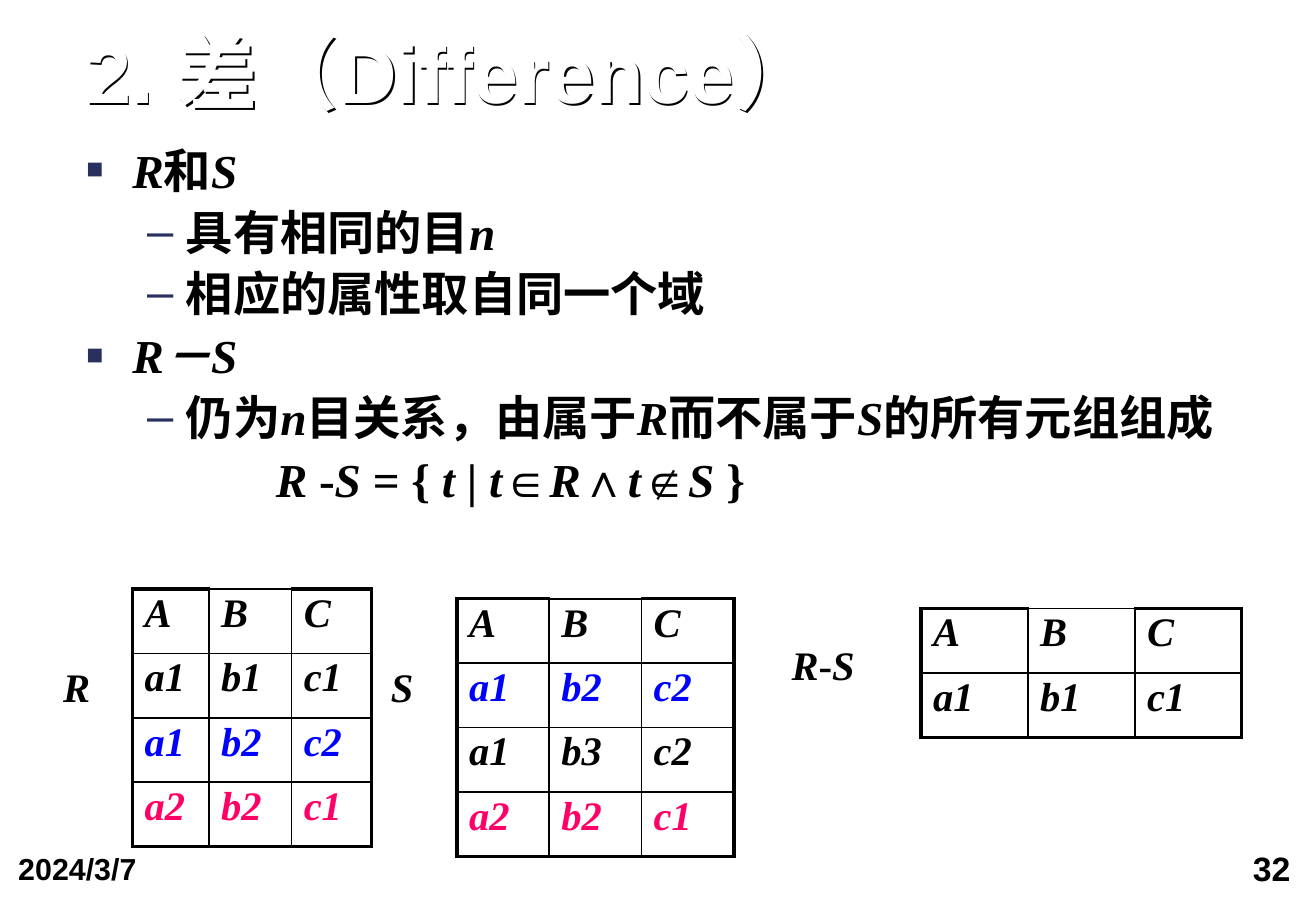
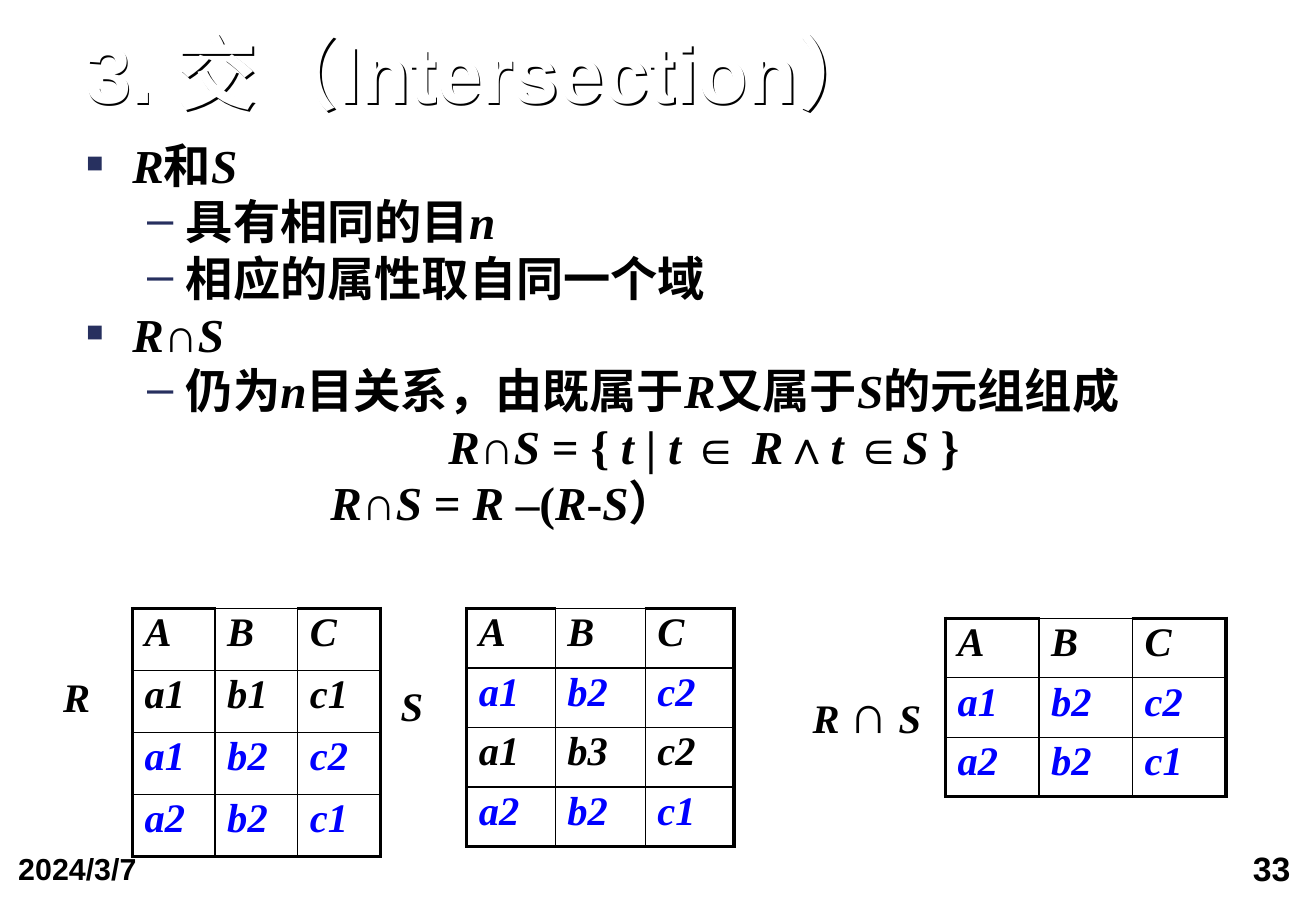
import pptx
import pptx.dml.color
import pptx.enum.text
import pptx.oxml
import pptx.oxml.ns
import pptx.util

Inches = pptx.util.Inches
Pt = pptx.util.Pt
ALIGN = pptx.enum.text.PP_ALIGN
ANCHOR = pptx.enum.text.MSO_ANCHOR
GROW = pptx.enum.text.MSO_AUTO_SIZE.SHAPE_TO_FIT_TEXT

BLACK, WHITE, NAVY = "000000", "FFFFFF", "27305F"
BLUE, PINK = "0000FF", "FF0066"
SANS, SERIF = "Arial", "Times New Roman"
THICK, THIN = 2.25, 1

HEADER = "A B C"
R_ROWS = [HEADER, "a1 b1 c1", "a1 b2 c2", "a2 b2 c1"]
S_ROWS = [HEADER, "a1 b2 c2", "a1 b3 c2", "a2 b2 c1"]

BULLETS = {
    "square": (0, 0.38, -0.38, "■", 60),
    "dash": (1, 0.82, -0.32, "–", 100),
}


def color(value):
    return pptx.dml.color.RGBColor.from_string(value)


def element(tag, attributes="", content=""):
    names = pptx.oxml.ns.nsdecls("a")
    return pptx.oxml.parse_xml(f"<a:{tag} {names} {attributes}>{content}</a:{tag}>")


def paint(value):
    return f'<a:srgbClr val="{value}"/>'


def assign(target, values):
    for name, value in values.items():
        setattr(target, name, value)


class Lecture:
    def __init__(self):
        self.deck = pptx.Presentation()
        self.deck.slide_width = Inches(10.83)
        self.deck.slide_height = Inches(7.5)
        self.slide = None

    def page(self, title, number):
        self.slide = self.deck.slides.add_slide(self.deck.slide_layouts[6])
        self.footer(str(number), (8.01, 6.92, 2.74, 0.58), 20, ALIGN.RIGHT)
        self.footer("2024/3/7", (0.02, 6.94, 2.51, 0.63), 18, ALIGN.LEFT)
        self.title(title)

    def textbox(self, place, insets, **values):
        box = self.slide.shapes.add_textbox(*(Inches(length) for length in place))
        side, edge = (Inches(inset) for inset in insets)
        assign(box.text_frame, {
            "word_wrap": True, "margin_left": side, "margin_right": side,
            "margin_top": edge, "margin_bottom": edge, **values})
        return box

    def span(self, para, text, size, name=SERIF, italic=False, tint=BLACK):
        span = para.add_run()
        span.text = text
        assign(span.font, {"size": Pt(size), "bold": True, "italic": italic, "name": name})
        span.font.color.rgb = color(tint)

    def mixed(self, para, text, size, symbol_size=None):
        for index, piece in enumerate(text.split("_")):
            if piece:
                italic = index % 2 == 1
                self.span(para, piece, size if italic else symbol_size or size, italic=italic)

    def footer(self, text, place, size, align):
        para = self.textbox(place, (0.13, 0.06)).text_frame.paragraphs[0]
        para.alignment = align
        self.span(para, text, size, SANS)

    def title(self, text):
        box = self.textbox((0.71, 0.28, 9.65, 0.72), (0, 0),
                           vertical_anchor=ANCHOR.BOTTOM, auto_size=GROW)
        para = box.text_frame.paragraphs[0]
        para.line_spacing = 0.9
        self.span(para, text, 48, SANS, tint=WHITE)
        box._element.spPr.append(element(
            "effectLst", content='<a:outerShdw dist="17961" dir="2700000" algn="ctr" '
            f'rotWithShape="0">{paint(BLACK)}</a:outerShdw>'))

    def body(self, lines, height, line_spacing):
        frame = self.textbox((0.71, 1.25, 9.65, height), (0, 0), auto_size=GROW).text_frame
        for index, (kind, text) in enumerate(lines):
            para = frame.add_paragraph() if index else frame.paragraphs[0]
            level, left, indent, mark, percent = BULLETS.get(kind, (0, kind, 0, None, None))
            assign(para, {"alignment": ALIGN.JUSTIFY, "line_spacing": line_spacing,
                          "level": level})
            style = para._p.get_or_add_pPr()
            style.set("marL", str(Inches(left)))
            style.set("indent", str(Inches(indent)))
            if index:
                style.append(element("spcBef", content='<a:spcPct val="35000"/>'))
            if mark:
                style.append(element("buClr", content=paint(NAVY)))
                style.append(element("buSzPct", f'val="{percent * 1000}"'))
                style.append(element("buFont", f'typeface="{SANS}"'))
                style.append(element("buChar", f'char="{mark}"'))
            else:
                style.append(element("buNone"))
            self.mixed(para, text, 28)

    def label(self, text, place, symbol_size=24):
        frame = self.textbox(place, (0, 0.05), word_wrap=False,
                             vertical_anchor=ANCHOR.MIDDLE).text_frame
        para = frame.paragraphs[0]
        para.alignment = ALIGN.CENTER
        self.mixed(para, text, 24, symbol_size)

    def relation(self, rows, left, top, widths, row_height, tints):
        place = (left, top, sum(widths), row_height * len(rows))
        table = self.slide.shapes.add_table(
            len(rows), len(widths), *(Inches(length) for length in place)).table
        assign(table, {"first_row": False, "horz_banding": False})
        for column, width in zip(table.columns, widths):
            column.width = Inches(width)
        last_row, last_column = len(rows) - 1, len(widths) - 1
        for r, row in enumerate(rows):
            table.rows[r].height = Inches(row_height)
            for c, text in enumerate(row.split()):
                cell = table.cell(r, c)
                para = cell.text_frame.paragraphs[0]
                para.line_spacing = 0.9
                self.span(para, text, 24, italic=True, tint=tints.get(row, BLACK))
                cell.fill.background()
                self.borders(cell, {
                    "L": c == 0, "R": c == last_column,
                    "T": r == 0 and c in (0, last_column), "B": r == last_row})

    def borders(self, cell, sides):
        style = cell._tc.get_or_add_tcPr()
        for index, (side, outer) in enumerate(sides.items()):
            width = Pt(THICK if outer else THIN)
            style.insert(index, element(
                f"ln{side}", f'w="{width}"', f"<a:solidFill>{paint(BLACK)}</a:solidFill>"))


def main():
    lecture = Lecture()
    shared = [("square", "_R_和_S_"), ("dash", "具有相同的目_n_"), ("dash", "相应的属性取自同一个域")]

    lecture.page("2. 差（Difference）", 32)
    lecture.body(shared + [
        ("square", "_R－S_"),
        ("dash", "仍为_n_目关系，由属于_R_而不属于_S_的所有元组组成"),
        (1.56, "_R _-_S_ = { _t _| _t_∈_R_∧_t_∉_S_ }"),
    ], 3.06, 0.8)
    tints = {"a1 b2 c2": BLUE, "a2 b2 c1": PINK}
    lecture.relation(R_ROWS, 1.09, 4.85, [0.63, 0.68, 0.66], 0.53, tints)
    lecture.label("_R_", (0.45, 5.19, 0.36, 0.92))
    lecture.relation(S_ROWS, 3.76, 4.93, [0.76] * 3, 0.53, tints)
    lecture.label("_S_", (3.13, 5.19, 0.36, 0.92))
    lecture.relation([HEADER, "a1 b1 c1"], 7.58, 5.01, [0.88] * 3, 0.53, tints)
    lecture.label("_R_-_S _", (6.32, 5.01, 0.99, 0.92))

    lecture.page("3. 交（Intersection）", 33)
    lecture.body(shared + [
        ("square", "_R_∩_S_"),
        ("dash", "仍为_n_目关系，由既属于_R_又属于_S_的元组组成"),
        (2.98, "_R_∩_S_ = { _t _| _t _∈ _R_∧_t _∈_S _}"),
        (2.01, "_R_∩_S_ = _R_ –(_R_-_S_）"),
    ], 3.26, 0.7)
    tints = {"a1 b2 c2": BLUE, "a2 b2 c1": BLUE}
    lecture.relation(R_ROWS, 1.09, 5.01, [0.68] * 3, 0.51, tints)
    lecture.label("_R_", (0.45, 5.27, 0.36, 0.92))
    lecture.relation(S_ROWS, 3.84, 5.01, [0.73, 0.74, 0.73], 0.49, tints)
    lecture.label("_S_", (3.21, 5.35, 0.36, 0.92))
    lecture.relation([HEADER, "a1 b2 c2", "a2 b2 c1"], 7.78, 5.09, [0.77] * 3, 0.49, tints)
    lecture.label("_R _∩_ S _", (6.63, 5.4, 1.09, 0.92), symbol_size=32)

    lecture.deck.save("out.pptx")


if __name__ == "__main__":
    main()
